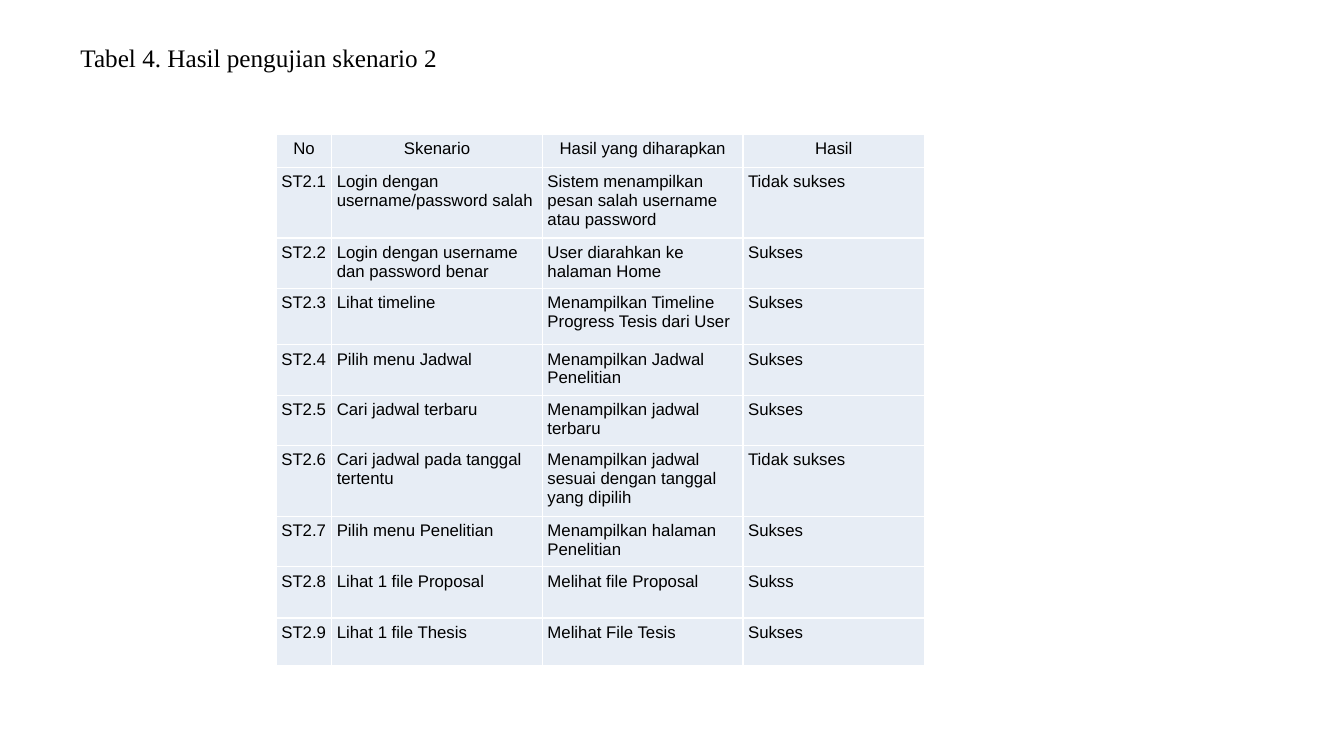
from lxml.etree import SubElement
from pptx import Presentation
from pptx.dml.color import RGBColor
from pptx.enum.text import MSO_AUTO_SIZE, PP_ALIGN
from pptx.oxml.ns import qn
from pptx.util import Inches, Pt

COLORS = {"text": "000000", "cell": "E7EDF5", "border": "FFFFFF"}
COLUMN_WIDTHS = [0.55, 2.09, 1.99, 1.8]
ROW_HEIGHTS = [0.33, 0.69, 0.5, 0.56, 0.5, 0.5, 0.69, 0.5, 0.51, 0.47]
HEADER = ["No", "Skenario", "Hasil yang diharapkan", "Hasil"]
SCENARIOS = [
    ["Login dengan username/password salah",
     "Sistem menampilkan pesan salah username atau password", "Tidak sukses"],
    ["Login dengan username dan password benar",
     "User diarahkan ke halaman Home", "Sukses"],
    ["Lihat timeline", "Menampilkan Timeline Progress Tesis dari User", "Sukses"],
    ["Pilih menu Jadwal", "Menampilkan Jadwal Penelitian", "Sukses"],
    ["Cari jadwal terbaru", "Menampilkan jadwal terbaru", "Sukses"],
    ["Cari jadwal pada tanggal tertentu",
     "Menampilkan jadwal sesuai dengan tanggal yang dipilih", "Tidak sukses"],
    ["Pilih menu Penelitian", "Menampilkan halaman Penelitian", "Sukses"],
    ["Lihat 1 file Proposal", "Melihat file Proposal", "Sukss"],
    ["Lihat 1 file Thesis", "Melihat File Tesis", "Sukses"],
]


def write_text(frame, text, size=12, font="Arial", align=PP_ALIGN.LEFT):
    para = frame.paragraphs[0]
    para.alignment = align
    span = para.add_run()
    span.text = text
    span.font.size = Pt(size)
    span.font.name = font
    span.font.color.rgb = RGBColor.from_string(COLORS["text"])


def add_borders(cell):
    properties = cell._tc.get_or_add_tcPr()
    for position, side in enumerate(["lnL", "lnR", "lnT", "lnB"]):
        line = properties.makeelement(qn(f"a:{side}"), {"w": str(Pt(1))})
        fill = SubElement(line, qn("a:solidFill"))
        SubElement(fill, qn("a:srgbClr"), val=COLORS["border"])
        properties.insert(position, line)


deck = Presentation()
deck.slide_width = Inches(13.33)
deck.slide_height = Inches(7.5)
page = deck.slides.add_slide(deck.slide_layouts[6])

title = page.shapes.add_textbox(Inches(0.7), Inches(0.37), Inches(6.67), Inches(0.4))
title.text_frame.word_wrap = True
title.text_frame.auto_size = MSO_AUTO_SIZE.SHAPE_TO_FIT_TEXT
write_text(title.text_frame, "Tabel 4. Hasil pengujian skenario 2",
           size=18, font="Times New Roman", align=PP_ALIGN.JUSTIFY)

rows = [HEADER] + [[f"ST2.{number}", *scenario]
                   for number, scenario in enumerate(SCENARIOS, 1)]
table = page.shapes.add_table(
    len(rows), len(HEADER), Inches(2.74), Inches(1.33),
    Inches(sum(COLUMN_WIDTHS)), Inches(sum(ROW_HEIGHTS))).table
table.first_row = False
table.horz_banding = False
for column, width in zip(table.columns, COLUMN_WIDTHS):
    column.width = Inches(width)

for row_index, (texts, height) in enumerate(zip(rows, ROW_HEIGHTS)):
    table.rows[row_index].height = Inches(height)
    for column_index, text in enumerate(texts):
        cell = table.cell(row_index, column_index)
        cell.margin_left = cell.margin_right = Inches(0.05)
        cell.margin_top = cell.margin_bottom = Inches(0.05)
        cell.fill.solid()
        cell.fill.fore_color.rgb = RGBColor.from_string(COLORS["cell"])
        add_borders(cell)
        align = PP_ALIGN.CENTER if row_index == 0 else PP_ALIGN.LEFT
        write_text(cell.text_frame, text, align=align)

deck.save("out.pptx")
